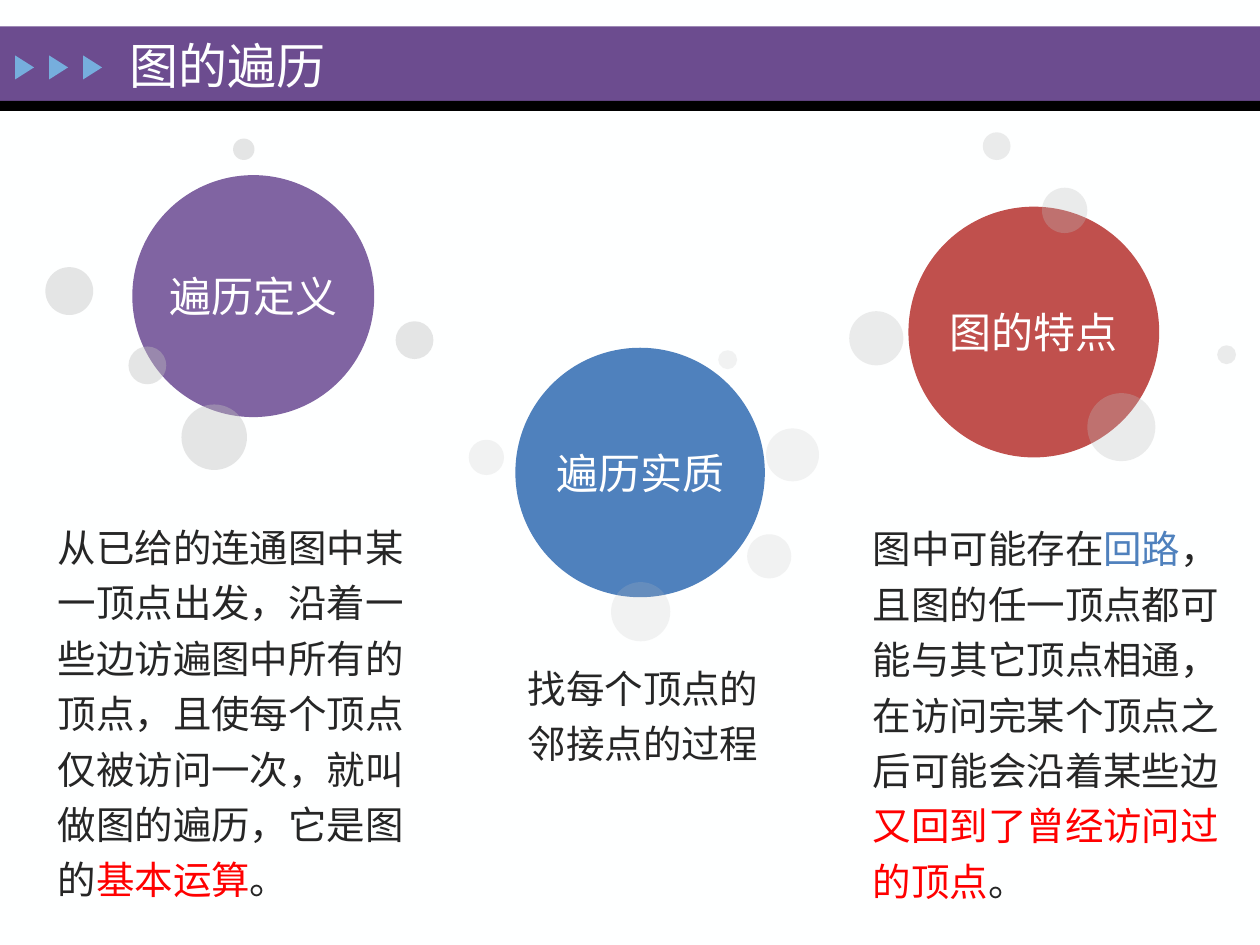
from lxml.etree import SubElement
from pptx import Presentation
from pptx.dml.color import RGBColor
from pptx.enum.shapes import MSO_SHAPE
from pptx.enum.text import MSO_ANCHOR, PP_ALIGN
from pptx.oxml.ns import qn
from pptx.util import Inches, Pt

WHITE, DARK, RED, BLUE = "FFFFFF", "262626", "FF0000", "4F81BD"
PAPER, PURPLE, BLACK, SKY, GREY = "FEFFFF", "6C4C8F", "000000", "76AEDD", "BFBFBF"


def color(value):
    return RGBColor.from_string(value)


class SlideBuilder:
    font = "Times New Roman"

    def __init__(self, page):
        self.page = page

    def background(self, value):
        fill = self.page.background.fill
        fill.solid()
        fill.fore_color.rgb = color(value)

    def shape(self, kind, left, top, width, height, value, opacity=100):
        shape = self.page.shapes.add_shape(
            kind, Inches(left), Inches(top), Inches(width), Inches(height))
        shape.shadow.inherit = False
        shape.fill.solid()
        shape.fill.fore_color.rgb = color(value)
        shape.line.fill.background()
        if opacity < 100:
            tint = shape.element.spPr.find(qn("a:solidFill"))[0]
            SubElement(tint, qn("a:alpha"), val=str(opacity * 1000))
        return shape

    def circle(self, left, top, size, value, opacity=100):
        return self.shape(MSO_SHAPE.OVAL, left, top, size, size, value, opacity)

    def add_spans(self, frame, spans, size, frame_format, para_format):
        for name, setting in frame_format.items():
            setattr(frame, name, setting)
        para = frame.paragraphs[0]
        for name, setting in para_format.items():
            setattr(para, name, setting)
        for text, value in spans:
            span = para.add_run()
            span.text = text
            for name, setting in {"name": self.font, "size": Pt(size)}.items():
                setattr(span.font, name, setting)
            span.font.color.rgb = color(value)

    def label(self, shape, text):
        margins = dict.fromkeys(
            ("margin_left", "margin_top", "margin_right", "margin_bottom"), 0)
        self.add_spans(shape.text_frame, [(text, WHITE)], 24,
                       {"word_wrap": False, "vertical_anchor": MSO_ANCHOR.MIDDLE, **margins},
                       {"alignment": PP_ALIGN.CENTER})

    def text(self, left, top, width, height, spans, size, line_spacing=1.0):
        box = self.page.shapes.add_textbox(
            Inches(left), Inches(top), Inches(width), Inches(height))
        self.add_spans(box.text_frame, spans, size,
                       {"word_wrap": True, "vertical_anchor": MSO_ANCHOR.MIDDLE},
                       {"line_spacing": line_spacing})


# Each topic: main circle, its label, small bubbles and explanation
TOPICS = [
    {
        "circle": (4.09, 2.76, 1.98, BLUE),
        "label": "遍历实质",
        "opacity": 20,
        "bubbles": [(3.72, 3.49, 0.28), (4.85, 4.62, 0.47), (5.7, 2.78, 0.15),
                    (5.93, 4.24, 0.35), (6.08, 3.4, 0.42)],
        "box": (4.09, 5.28, 2.07, 0.73),
        "spans": [("找每个顶点的邻接点的过程", DARK)],
    },
    {
        "circle": (7.21, 1.64, 1.99, "C0504D"),
        "label": "图的特点",
        "opacity": 30,
        "bubbles": [(6.74, 2.47, 0.43), (7.8, 1.05, 0.22), (8.63, 3.12, 0.54),
                    (9.66, 2.74, 0.15), (8.27, 1.49, 0.36)],
        "box": (6.83, 3.89, 2.98, 3.49),
        "spans": [
            ("图中可能存在", DARK),
            ("回路", BLUE),
            ("，且图的任一顶点都可能与其它顶点相通，在访问完某个顶点之后可能会沿着某些边", DARK),
            ("又回到了曾经访问过的顶点", RED),
            ("。", DARK),
        ],
    },
    {
        "circle": (1.05, 1.39, 1.92, "8064A2"),
        "label": "遍历定义",
        "opacity": 40,
        "bubbles": [(3.14, 2.55, 0.3), (1.02, 2.75, 0.3), (1.44, 3.21, 0.52),
                    (1.85, 1.1, 0.17), (0.36, 2.12, 0.38)],
        "box": (0.36, 3.88, 3.08, 3.49),
        "spans": [
            ("从已给的连通图中某一顶点出发，沿着一些边访遍图中所有的顶点，"
             "且使每个顶点仅被访问一次，就叫做图的遍历，它是图的", DARK),
            ("基本运算", RED),
            ("。", DARK),
        ],
    },
]


def main():
    deck = Presentation()
    deck.slide_width, deck.slide_height = Inches(10), Inches(7.5)
    builder = SlideBuilder(deck.slides.add_slide(deck.slide_layouts[6]))
    builder.background(PAPER)

    # Title band with three arrows
    builder.shape(MSO_SHAPE.RECTANGLE, 0, 0.21, 10, 0.59, PURPLE)
    builder.shape(MSO_SHAPE.RECTANGLE, 0, 0.8, 10, 0.08, BLACK)
    for index in range(3):
        arrow = builder.shape(MSO_SHAPE.ISOSCELES_TRIANGLE,
                              0.1 + index * 0.27, 0.46, 0.19, 0.15, SKY)
        arrow.rotation = 90
    builder.text(0.93, 0.14, 6.73, 0.75, [("图的遍历", PAPER)], 28)

    # Topics
    for topic in TOPICS:
        builder.label(builder.circle(*topic["circle"]), topic["label"])
        for bubble in topic["bubbles"]:
            builder.circle(*bubble, GREY, topic["opacity"])
        builder.text(*topic["box"], topic["spans"], 22, 1.2)

    deck.save("out.pptx")


if __name__ == "__main__":
    main()
